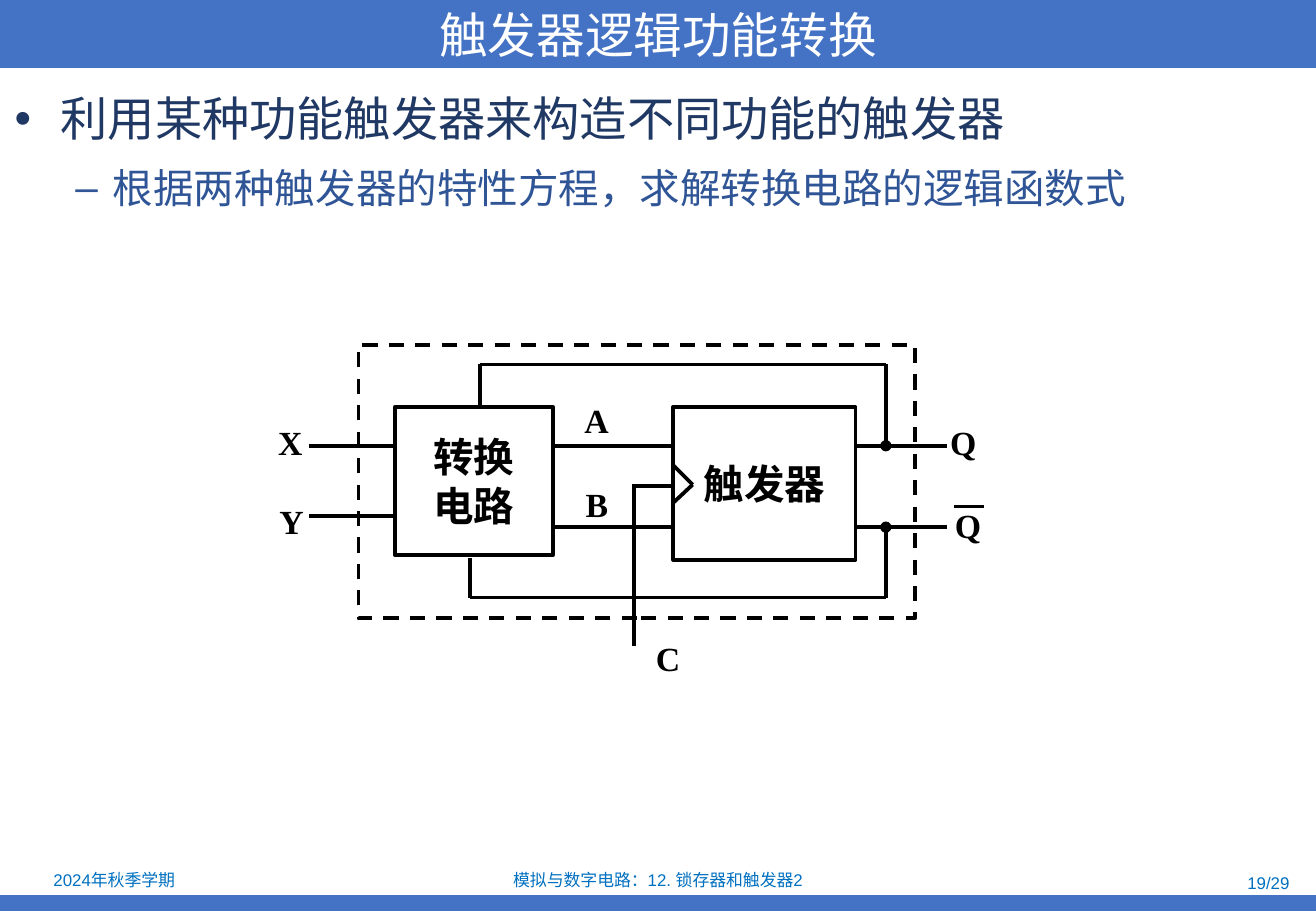
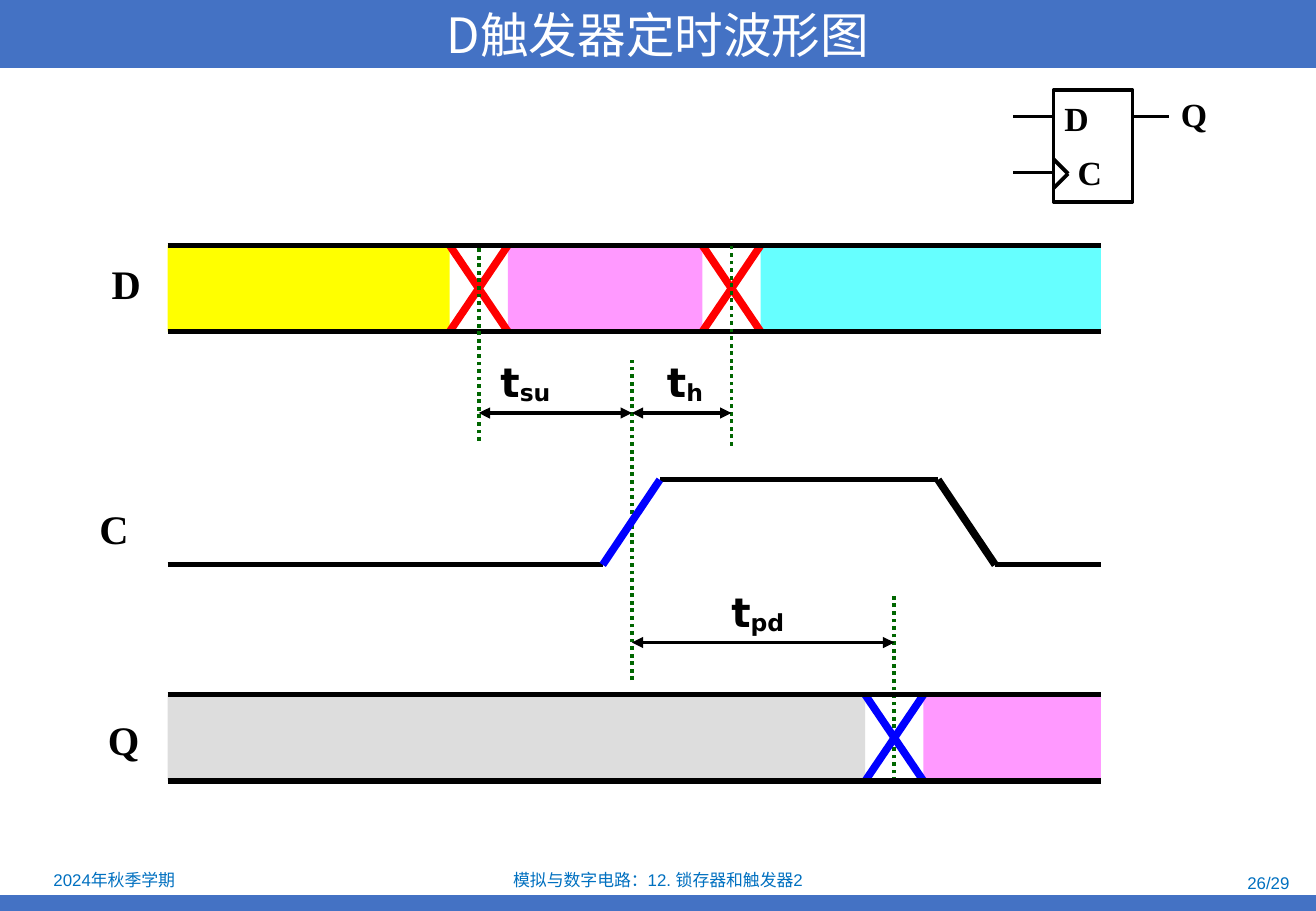
from pptx import Presentation
from pptx.dml.color import RGBColor
from pptx.enum.dml import MSO_LINE
from pptx.enum.shapes import MSO_CONNECTOR, MSO_SHAPE
from pptx.enum.text import MSO_ANCHOR, MSO_AUTO_SIZE, PP_ALIGN
from pptx.oxml.ns import qn
from pptx.util import Inches, Pt
from lxml.etree import SubElement

COLORS = {
    "band": "4472C4", "footer": "0070C0", "white": "FFFFFF", "black": "000000",
    "heading": "203864", "subheading": "2F5597", "red": "FF0000", "blue": "0000FF",
    "green": "006600", "yellow": "FFFF00", "pink": "FF99FF", "cyan": "66FFFF",
    "gray": "DDDDDD",
}
SANS, SERIF = "Arial", "Times New Roman"
TITLE_FONT, SYMBOL_FONT = "Noto Sans CJK SC", "DejaVu Sans"
WIDTH, HEIGHT = 10.83, 7.5
TITLE_AND_BODY, TITLE_ONLY = 1, 5
WIRE = 2.25


def rgb(name):
    return RGBColor.from_string(COLORS[name])


class Deck:
    def __init__(self):
        self.presentation = Presentation()
        self.presentation.slide_width = Inches(WIDTH)
        self.presentation.slide_height = Inches(HEIGHT)
        self.slide = None

    def new_slide(self, layout, title, page):
        layouts = self.presentation.slide_layouts
        self.slide = self.presentation.slides.add_slide(layouts[layout])
        self.box(0, 7.37, WIDTH, 0.13, fill="band", line=None)
        shape = self.slide.shapes.title
        self.place(shape, 0, 0, WIDTH, 0.56)
        shape.fill.solid()
        shape.fill.fore_color.rgb = rgb("band")
        self.set_text(shape, title, 28.8, TITLE_FONT, "white", bold=False,
                      align=PP_ALIGN.CENTER, anchor=MSO_ANCHOR.MIDDLE)
        footers = [
            (0.02, 7.13, 1.84, 0.23, "2024年秋季学期", PP_ALIGN.CENTER),
            (3.7, 7.14, 3.43, 0.21, "模拟与数字电路：12. 锁存器和触发器2", PP_ALIGN.CENTER),
            (8.18, 7.16, 2.53, 0.21, f"{page}/29", PP_ALIGN.RIGHT),
        ]
        for left, top, width, height, text, align in footers:
            shape = self.text_box(left, top, width, height)
            self.set_text(shape, text, 10, SANS, "footer", bold=False,
                          align=align, anchor=MSO_ANCHOR.MIDDLE)

    def place(self, shape, left, top, width, height):
        shape.left, shape.top = Inches(left), Inches(top)
        shape.width, shape.height = Inches(width), Inches(height)

    def text_box(self, left, top, width, height):
        return self.slide.shapes.add_textbox(
            Inches(left), Inches(top), Inches(width), Inches(height))

    def style_run(self, run, size, font, color, bold):
        run.font.size = Pt(size)
        run.font.name = font
        run.font.bold = bold
        run.font.color.rgb = rgb(color)
        SubElement(run.font._element, qn("a:ea")).set("typeface", font)

    def set_text(self, shape, text, size, font, color="black", bold=True,
                 align=PP_ALIGN.LEFT, anchor=MSO_ANCHOR.TOP, wrap=True):
        frame = shape.text_frame
        frame.text = text
        frame.word_wrap = wrap
        frame.auto_size = MSO_AUTO_SIZE.NONE
        frame.vertical_anchor = anchor
        for paragraph in frame.paragraphs:
            paragraph.alignment = align
            for run in paragraph.runs:
                self.style_run(run, size, font, color, bold)

    def bullets(self, items):
        """Fill the body placeholder with (text, level) pairs."""
        styles = [(0.38, -0.38, "•", 28, "heading"), (0.81, -0.31, "–", 24, "subheading")]
        body = self.slide.placeholders[1]
        self.place(body, 0.02, 0.64, 10.81, 6.5)
        frame = body.text_frame
        frame.text = "\n".join(text for text, level in items)
        frame.auto_size = MSO_AUTO_SIZE.NONE
        for index, (paragraph, (text, level)) in enumerate(zip(frame.paragraphs, items)):
            margin, indent, mark, size, color = styles[level]
            paragraph.level = level
            properties = paragraph._p.get_or_add_pPr()
            properties.set("marL", str(Inches(margin)))
            properties.set("indent", str(Inches(indent)))
            SubElement(properties, qn("a:buChar")).set("char", mark)
            paragraph.line_spacing = 1.1
            paragraph.space_before = Pt(0.3 * size if index else 0)
            self.style_run(paragraph.runs[0], size, SANS, color, False)

    def label(self, left, top, text, size=20):
        shape = self.text_box(left, top, 0.42, 0.43)
        self.set_text(shape, text, size, SERIF, wrap=False)

    def timing_label(self, left, top, width, subscript):
        shape = self.text_box(left, top, width, 0.5)
        self.set_text(shape, "t", 24, SYMBOL_FONT, wrap=False)
        run = shape.text_frame.paragraphs[0].add_run()
        run.text = subscript
        self.style_run(run, 24, SYMBOL_FONT, "black", True)
        run.font._element.set("baseline", "-10000")

    def box(self, left, top, width, height, text="", fill=None, line="black", dash=None):
        shape = self.slide.shapes.add_shape(
            MSO_SHAPE.RECTANGLE, Inches(left), Inches(top), Inches(width), Inches(height))
        shape.shadow.inherit = False
        if fill:
            shape.fill.solid()
            shape.fill.fore_color.rgb = rgb(fill)
        else:
            shape.fill.background()
        if line:
            shape.line.color.rgb = rgb(line)
            shape.line.width = Pt(WIRE)
            if dash:
                shape.line.dash_style = dash
        else:
            shape.line.fill.background()
        if text:
            self.set_text(shape, text, 24, SANS, align=PP_ALIGN.CENTER,
                          anchor=MSO_ANCHOR.MIDDLE, wrap=False)

    def wire(self, *points, color="black", width=WIRE, dash=None, head=None, tail=None):
        """Join the points with straight lines; head and tail end each line."""
        for start, end in zip(points, points[1:]):
            connector = self.slide.shapes.add_connector(
                MSO_CONNECTOR.STRAIGHT, *map(Inches, start + end))
            connector.line.color.rgb = rgb(color)
            connector.line.width = Pt(width)
            if dash:
                connector.line.dash_style = dash
            properties = connector._element.spPr
            outline = properties.find(qn("a:ln"))
            for tag, kind in (("a:headEnd", head), ("a:tailEnd", tail)):
                if kind:
                    SubElement(outline, qn(tag)).set("type", kind)
            SubElement(properties, qn("a:effectLst"))

    def dimension(self, left, right, y):
        self.wire((left, y), (right, y), head="triangle", tail="triangle")

    def time_mark(self, x, top, bottom):
        self.wire((x, bottom), (x, top), color="green", dash=MSO_LINE.ROUND_DOT)

    def data_band(self, left, right, top, crossings, fills, color):
        """Draw a bus waveform whose value changes at each crossing."""
        half, height = 0.24, 0.71
        bottom = top + height
        starts = [left] + [x + half for x in crossings]
        ends = [x - half for x in crossings] + [right]
        for start, end, fill in zip(starts, ends, fills):
            self.box(start, top, end - start, height, fill=fill, line=None)
        for x in crossings:
            self.wire((x - half, top), (x + half, bottom), color=color, width=4.5)
            self.wire((x - half, bottom), (x + half, top), color=color, width=4.5)
        for y in (top, bottom):
            self.wire((left, y), (right, y), width=3)


def conversion_slide(deck):
    deck.new_slide(TITLE_AND_BODY, "触发器逻辑功能转换", 19)
    deck.bullets([("利用某种功能触发器来构造不同功能的触发器", 0),
                  ("根据两种触发器的特性方程，求解转换电路的逻辑函数式", 1)])
    upper, lower, feedback = 3.67, 4.34, 7.29
    deck.box(5.54, 3.35, 1.5, 1.26, "触发器")
    for left, right in ((4.54, 5.54), (7.04, 7.79)):
        for y in (upper, lower):
            deck.wire((left, y), (right, y))
    for y in (upper, 4.25):
        deck.wire((2.54, y), (3.29, y))
    for y, rail, x, end in ((upper, 3, 3.95, 3.34), (lower, 4.92, 3.87, 4.59)):
        deck.wire((feedback, y), (feedback, rail), head="oval")
        deck.wire((feedback, rail), (x, rail), (x, end))
    deck.wire((7.85, 4.17), (8.1, 4.17))
    deck.wire((5.54, 3.83), (5.7, 3.99), (5.54, 4.14))
    deck.wire((5.54, 4), (5.2, 4))
    deck.wire((5.22, 4), (5.22, 5.32))
    deck.box(2.95, 2.84, 4.58, 2.25, dash=MSO_LINE.DASH)
    deck.box(3.25, 3.35, 1.3, 1.22, "转换\n电路", fill="white")
    for left, top, text in ((2.19, 3.42, "X"), (2.2, 4.07, "Y"), (4.71, 3.24, "A"),
                            (4.72, 3.93, "B"), (7.72, 3.42, "Q"), (7.76, 4.11, "Q"),
                            (5.3, 5.2, "C")):
        deck.label(left, top, text)


def timing_slide(deck):
    deck.new_slide(TITLE_ONLY, "D触发器定时波形图", 26)

    deck.box(8.67, 0.74, 0.65, 0.92)
    for start, end, y in ((8.67, 8.34, 0.96), (8.67, 8.34, 1.42), (9.32, 9.62, 0.96)):
        deck.wire((start, y), (end, y))
    deck.wire((8.67, 1.31), (8.79, 1.43), (8.67, 1.55))
    for left, top, text in ((8.66, 0.76, "D"), (9.62, 0.72, "Q"), (8.77, 1.2, "C")):
        deck.label(left, top, text)

    left, right = 1.38, 9.06
    setup, clock, hold, output = 3.94, 5.2, 6.02, 7.36
    high, low = 3.95, 4.65
    deck.data_band(left, right, 2.02, [setup, hold], ["yellow", "pink", "cyan"], "red")
    for x, top, bottom in ((setup, 2.02, 3.63), (hold, 2.02, 3.67),
                           (clock, 2.96, 5.6), (output, 4.89, 6.43)):
        deck.time_mark(x, top, bottom)
    deck.data_band(left, right, 5.72, [output], ["gray", "pink"], "blue")

    for start, end, y in ((left, 4.96, low), (5.43, 7.72, high), (8.19, right, low)):
        deck.wire((start, y), (end, y), width=3)
    deck.wire((4.96, low), (5.43, high), color="blue", width=4.5)
    deck.wire((7.72, high), (8.19, low), width=4.5)

    for start, end, y in ((setup, clock, 3.4), (clock, hold, 3.4), (clock, output, 5.29)):
        deck.dimension(start, end, y)
    for x, top, width, subscript in ((4.02, 2.89, 0.64, "su"), (5.39, 2.89, 0.51, "h"),
                                     (5.92, 4.78, 0.66, "pd")):
        deck.timing_label(x, top, width, subscript)
    for x, top, text in ((0.82, 2.08, "D"), (0.72, 4.1, "C"), (0.79, 5.84, "Q")):
        deck.label(x, top, text, 24)


def main():
    deck = Deck()
    conversion_slide(deck)
    timing_slide(deck)
    deck.presentation.save("out.pptx")


if __name__ == "__main__":
    main()
